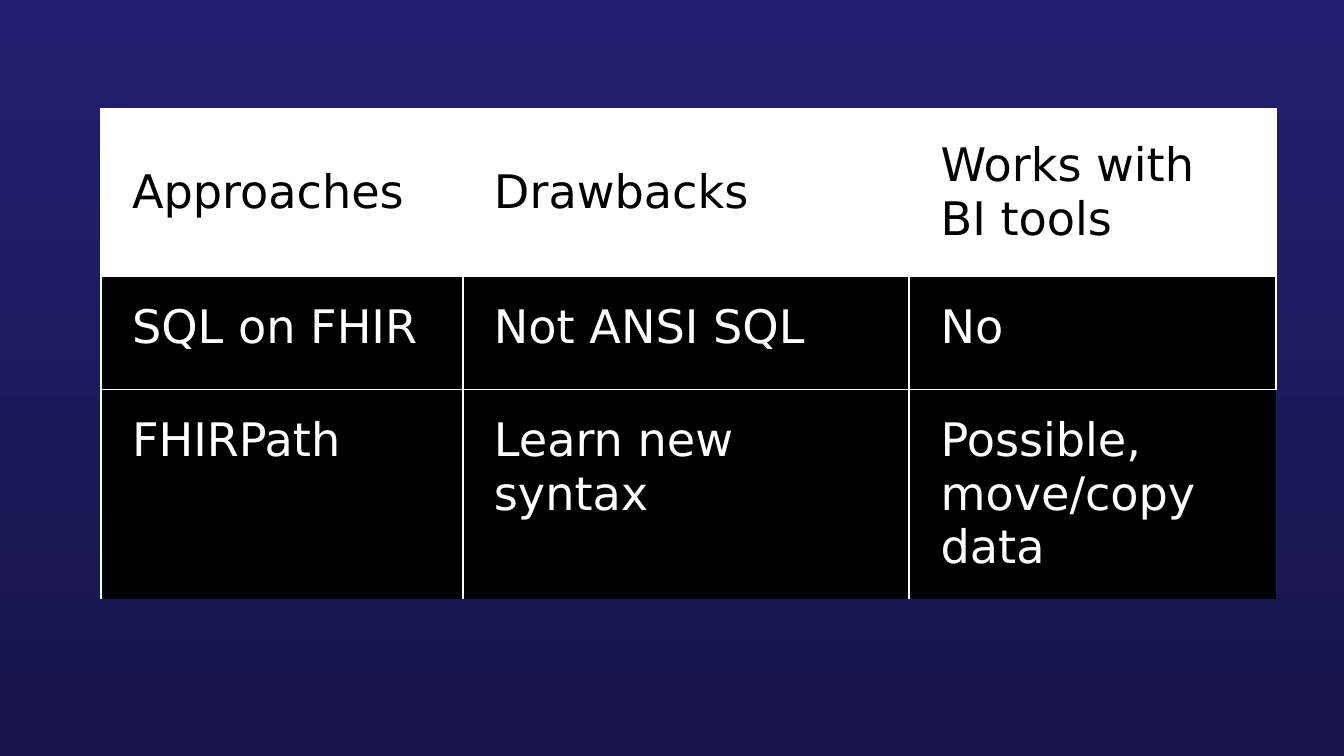
from dataclasses import dataclass

from lxml import etree
from pptx import Presentation
from pptx import util as u
from pptx.dml.color import RGBColor
from pptx.enum import text
from pptx.oxml import ns


@dataclass(frozen=True)
class Theme:
    """Colours, type and line widths of the slide."""

    font: str = "DejaVu Sans"
    size: int = 33
    light: str = "FFFFFF"
    dark: str = "000000"
    sky_top: str = "231F70"
    sky_bottom: str = "17154A"
    column_line: float = 1.5
    row_line: float = 0.5


THEME = Theme()
WIDTH, HEIGHT = 13.33, 7.5
TABLE_LEFT, TABLE_TOP = 0.075 * WIDTH, 0.143 * HEIGHT
COLUMN_WIDTHS = (3.59, 4.43, 3.64)
ROW_HEIGHTS = (1.67, 1.12, 2.07)
CONTENT = (
    ("Approaches", "Drawbacks", "Works with BI tools"),
    ("SQL on FHIR", "Not ANSI SQL", "No"),
    ("FHIRPath", "Learn new syntax", "Possible, move/copy data"),
)


def paint_background(page):
    """Fill the page with a gradient running from top to bottom."""
    fill = page.background.fill
    fill.gradient()
    fill.gradient_angle = 270
    for stop, colour in zip(fill.gradient_stops, (THEME.sky_top, THEME.sky_bottom)):
        stop.color.rgb = RGBColor.from_string(colour)


def set_borders(cell, widths):
    """Draw the cell's left, right, top and bottom lines, where zero hides one."""
    properties = cell._tc.get_or_add_tcPr()
    for side, width in zip("LRTB", widths):
        line = etree.SubElement(properties, ns.qn(f"a:ln{side}"), w=str(int(u.Pt(width))))
        if width:
            fill = etree.SubElement(line, ns.qn("a:solidFill"))
            etree.SubElement(fill, ns.qn("a:srgbClr"), val=THEME.light)
        else:
            etree.SubElement(line, ns.qn("a:noFill"))


def border_widths(row, column):
    """Return line widths, leaving the table's lower right corner open."""
    last_row = row == len(CONTENT) - 1
    last_column = column == len(COLUMN_WIDTHS) - 1
    right = 0 if last_row and last_column else THEME.column_line
    bottom = 0 if last_row else THEME.row_line
    return THEME.column_line, right, THEME.row_line, bottom


def style_cell(cell, words, is_header):
    """Write the words and set the cell's fill, margins and type."""
    ground, ink = (THEME.light, THEME.dark) if is_header else (THEME.dark, THEME.light)
    cell.fill.solid()
    cell.fill.fore_color.rgb = RGBColor.from_string(ground)
    cell.margin_left = u.Inches(0.31)
    cell.margin_right = cell.margin_top = cell.margin_bottom = u.Inches(0.24)
    cell.vertical_anchor = text.MSO_ANCHOR.MIDDLE if is_header else text.MSO_ANCHOR.TOP
    cell.text = words
    font = cell.text_frame.paragraphs[0].font
    font.name, font.size, font.bold = THEME.font, u.Pt(THEME.size), False
    font.color.rgb = RGBColor.from_string(ink)


def add_comparison(page):
    """Add the table that compares the approaches."""
    frame = page.shapes.add_table(
        len(ROW_HEIGHTS), len(COLUMN_WIDTHS),
        u.Inches(TABLE_LEFT), u.Inches(TABLE_TOP),
        u.Inches(sum(COLUMN_WIDTHS)), u.Inches(sum(ROW_HEIGHTS)),
    )
    table = frame.table
    table.horz_banding = False
    for column, width in zip(table.columns, COLUMN_WIDTHS):
        column.width = u.Inches(width)
    for row, height in zip(table.rows, ROW_HEIGHTS):
        row.height = u.Inches(height)
    for row, line in enumerate(CONTENT):
        for column, words in enumerate(line):
            cell = table.cell(row, column)
            set_borders(cell, border_widths(row, column))
            style_cell(cell, words, is_header=row == 0)


def main():
    """Build the deck and save it."""
    deck = Presentation()
    deck.slide_width, deck.slide_height = u.Inches(WIDTH), u.Inches(HEIGHT)
    page = deck.slides.add_slide(deck.slide_layouts[6])
    paint_background(page)
    add_comparison(page)
    deck.save("out.pptx")


if __name__ == "__main__":
    main()
